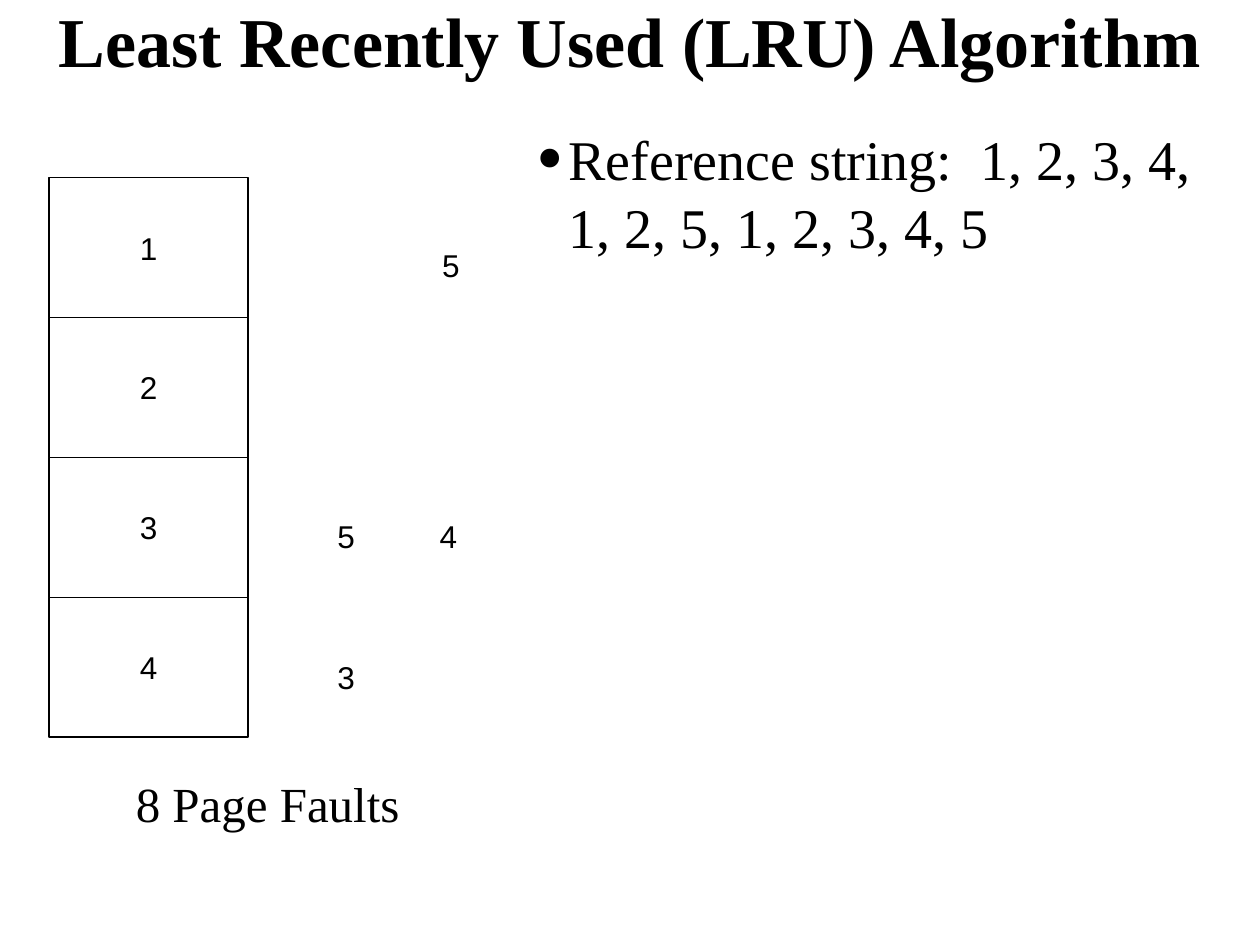
from lxml import etree
from pptx import Presentation
from pptx import util as u
from pptx.dml.color import RGBColor
from pptx.enum import shapes, text
from pptx.oxml.ns import qn

BLACK = RGBColor(0, 0, 0)
WHITE = RGBColor(255, 255, 255)
SERIF, SANS = "Times New Roman", "Arial"
MID, TOP = text.MSO_ANCHOR.MIDDLE, text.MSO_ANCHOR.TOP
MARGIN = (0.25, 0.13)

TITLE = "Least Recently Used (LRU) Algorithm"
REFS = "Reference string:  1, 2, 3, 4, 1, 2, 5, 1, 2, 3, 4, 5"
FAULTS = "8 Page Faults"
FRAMES = ["1", "2", "3", "4"]
# page, left, top in cm
SWAPS = [("5", 8.66, 4.83), ("4", 8.61, 10.29),
         ("3", 6.55, 13.13), ("5", 6.55, 10.29)]
LEFT, HEAD, WIDE, HIGH = 0.99, 3.58, 4.01, 2.82


def add_dot(para):
    """Give the paragraph a large round bullet with a hanging indent."""
    props = para._p.get_or_add_pPr()
    props.set("marL", str(u.Cm(0.64)))
    props.set("indent", str(-u.Cm(0.64)))
    color = etree.SubElement(props, qn("a:buClr"))
    etree.SubElement(color, qn("a:srgbClr"), val=str(BLACK))
    etree.SubElement(props, qn("a:buSzPct"), val="140000")
    etree.SubElement(props, qn("a:buFont"), typeface=SERIF)
    etree.SubElement(props, qn("a:buChar"), char="•")


def add_text(slide, words, box, size=18, font=SANS, bold=False, wrap=False,
             anchor=MID, align=text.PP_ALIGN.CENTER, margin=MARGIN,
             dot=False, frame=False):
    place = [u.Cm(n) for n in box]
    if frame:
        shape = slide.shapes.add_shape(shapes.MSO_SHAPE.RECTANGLE, *place)
        shape.shadow.inherit = False
        shape.fill.solid()
        shape.fill.fore_color.rgb = WHITE
        shape.line.color.rgb = BLACK
        shape.line.width = u.Pt(0.75)
    else:
        shape = slide.shapes.add_textbox(*place)
    body = shape.text_frame
    body.word_wrap = wrap
    body.vertical_anchor = anchor
    body.margin_left = body.margin_right = u.Cm(margin[0])
    body.margin_top = body.margin_bottom = u.Cm(margin[1])
    para = body.paragraphs[0]
    para.alignment = align
    if dot:
        add_dot(para)
    run = para.add_run()
    run.text = words
    run.font.name, run.font.size, run.font.bold = font, u.Pt(size), bold
    run.font.color.rgb = BLACK


def main():
    deck = Presentation()
    deck.slide_width, deck.slide_height = u.Cm(25.4), u.Cm(19.05)
    slide = deck.slides.add_slide(deck.slide_layouts[6])

    add_text(slide, TITLE, (0, 0, 25.4, 1.6), size=40, font=SERIF,
             bold=True, wrap=True, margin=(0, 0))
    add_text(slide, REFS, (10.57, 2.39, 14.2, 11.43), size=32, font=SERIF,
             wrap=True, anchor=TOP, align=text.PP_ALIGN.LEFT, dot=True)
    for row, page in enumerate(FRAMES):
        add_text(slide, page, (LEFT, HEAD + row * HIGH, WIDE, HIGH),
                 frame=True)
    for page, left, top in SWAPS:
        add_text(slide, page, (left, top, 0.86, 1.02))
    add_text(slide, FAULTS, (2.31, 15.47, 6.17, 1.45), size=28, font=SERIF,
             wrap=True, anchor=TOP)

    deck.save("out.pptx")


if __name__ == "__main__":
    main()
